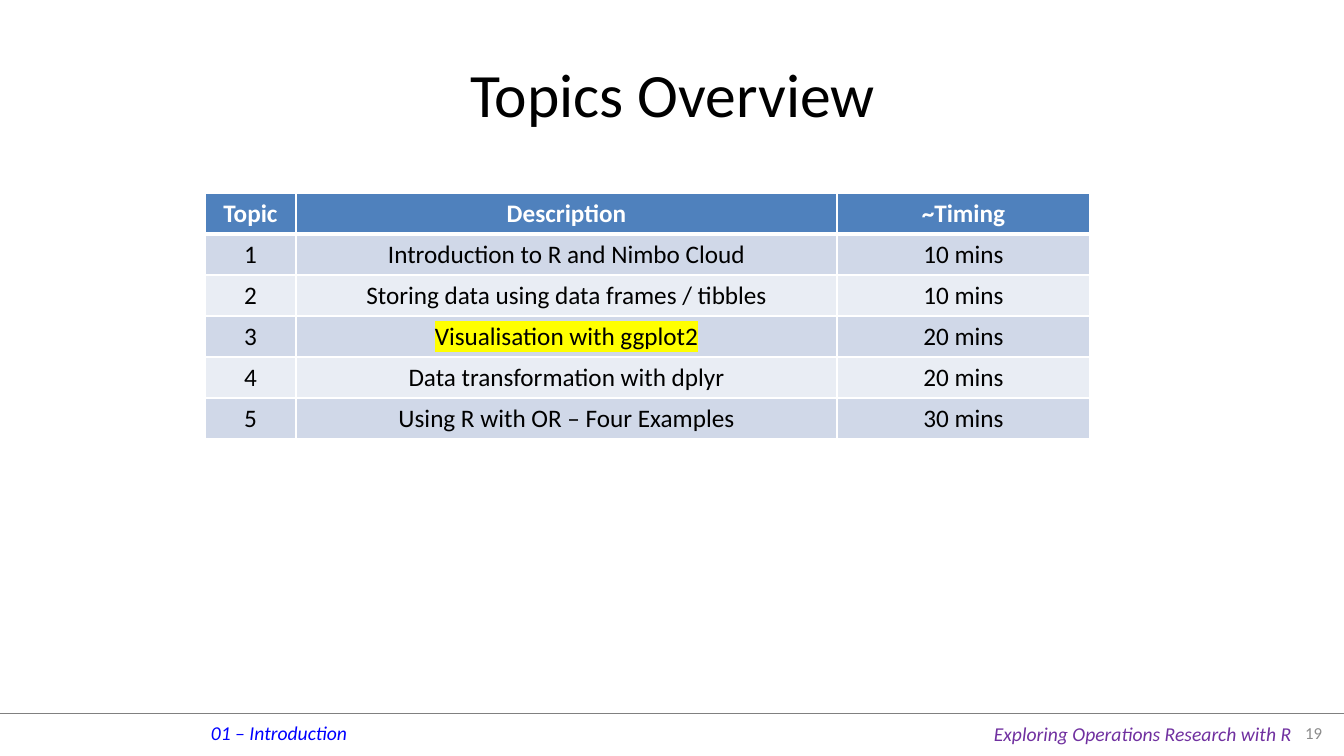
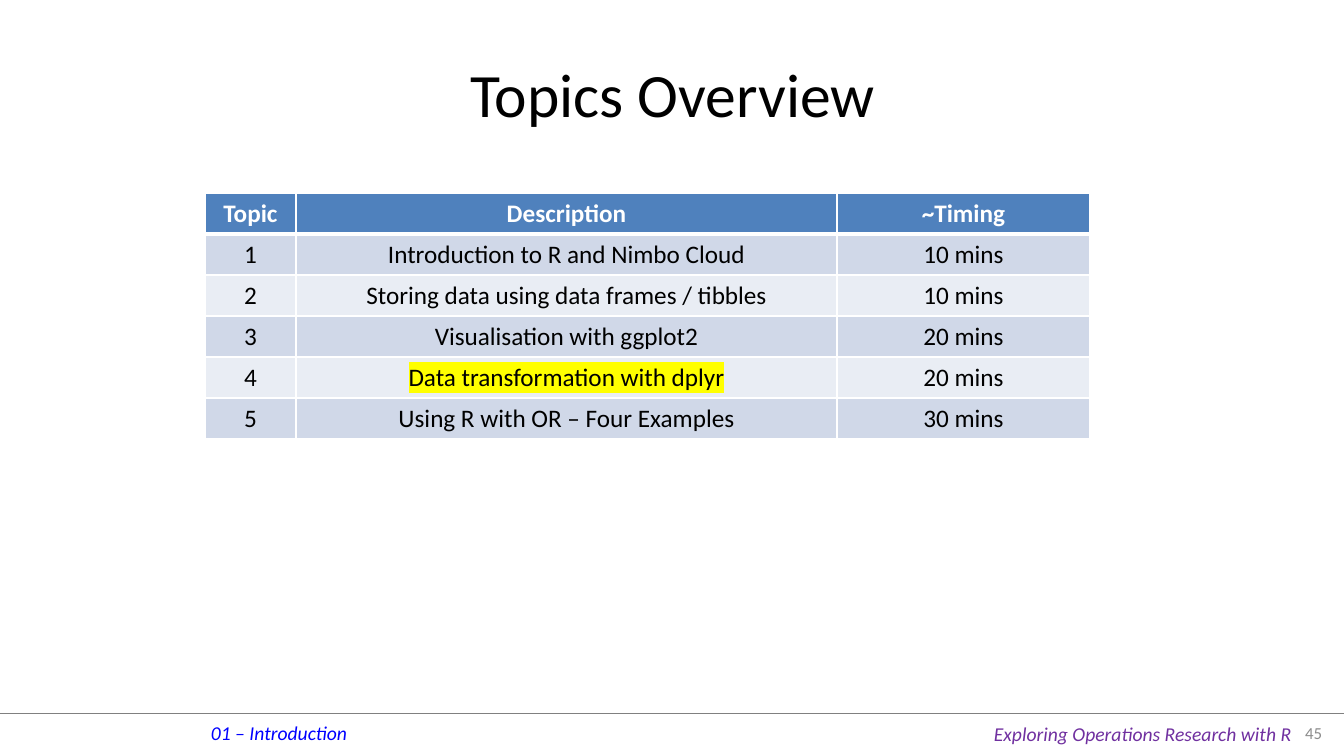
from lxml import etree
from pptx import Presentation
from pptx.dml.color import RGBColor
from pptx.enum.shapes import MSO_CONNECTOR
from pptx.enum.text import MSO_ANCHOR, PP_ALIGN
from pptx.oxml.ns import qn
from pptx.util import Pt

TITLE = "Topics Overview"
PART = "01 – Introduction"
COURSE = "Exploring Operations Research with R"
HEAD = ("Topic", "Description", "~Timing")
TOPICS = [
    ("Introduction to R and Nimbo Cloud", "10 mins"),
    ("Storing data using data frames / tibbles", "10 mins"),
    ("Visualisation with ggplot2", "20 mins"),
    ("Data transformation with dplyr", "20 mins"),
    ("Using R with OR – Four Examples", "30 mins"),
]
# Page number and the topic marked on it
SLIDES = [("19", 3), ("45", 4)]

FONT = "Calibri"
BLACK = RGBColor(0, 0, 0)
WHITE = RGBColor(255, 255, 255)
GRAY = RGBColor(0x80, 0x80, 0x80)
PALE = RGBColor(0x8C, 0x8C, 0x8C)
BLUE = RGBColor(0, 0, 255)
PURPLE = RGBColor(0x70, 0x30, 0xA0)
STEEL = RGBColor(0x4F, 0x81, 0xBD)
YELLOW = RGBColor(255, 255, 0)
BANDS = (RGBColor(0xE9, 0xED, 0xF4), RGBColor(0xD0, 0xD8, 0xE8))

LEFT, CENTER, RIGHT = PP_ALIGN.LEFT, PP_ALIGN.CENTER, PP_ALIGN.RIGHT
TOP, MIDDLE = MSO_ANCHOR.TOP, MSO_ANCHOR.MIDDLE
STRAIGHT = MSO_CONNECTOR.STRAIGHT

WIDTH, HEIGHT = 1344, 756
RULE = 713
GRID = (205, 193)
COLS = (91, 541, 253)
ROW = 41


def px(*sizes):
    return [round(n * 914400 / 100.8) for n in sizes]


def write(para, text, size, color, align, bold=False, italic=False):
    para.alignment = align
    run = para.add_run()
    run.text = text
    font = run.font
    font.name, font.size = FONT, Pt(size)
    font.bold, font.italic = bold, italic
    font.color.rgb = color
    return run


def add_text(slide, box, text, size, color, align=LEFT, anchor=TOP,
             wrap=True, italic=False):
    frame = slide.shapes.add_textbox(*px(*box)).text_frame
    frame.word_wrap = wrap
    frame.vertical_anchor = anchor
    write(frame.paragraphs[0], text, size, color, align, italic=italic)


def add_color(parent, color):
    fill = etree.SubElement(parent, qn("a:solidFill"))
    etree.SubElement(fill, qn("a:srgbClr"), val=str(color))


def mark(run):
    """Highlight a run; its colour must be set before."""
    light = etree.Element(qn("a:highlight"))
    etree.SubElement(light, qn("a:srgbClr"), val=str(YELLOW))
    run.font.fill  # the colour fill comes right before the highlight
    run._r.rPr.find(qn("a:solidFill")).addnext(light)


def edge(cell, top, bottom):
    """Give a cell white borders; they must come before its fill."""
    props = cell._tc.get_or_add_tcPr()
    sides = (("L", 1), ("R", 1), ("T", top), ("B", bottom))
    for side, width in sides:
        line = etree.SubElement(props, qn("a:ln" + side), w=str(Pt(width)))
        add_color(line, WHITE)


def add_frame(slide, page):
    """Draw what every slide shares: title, rule and footer."""
    rule = slide.shapes.add_connector(STRAIGHT, *px(0, RULE, WIDTH, RULE))
    rule.line.color.rgb = GRAY
    rule.line.width = Pt(0.25)
    etree.SubElement(rule._element.spPr, qn("a:effectLst"))
    add_text(slide, (201, 716, 158, 34), PART, 14, BLUE,
             wrap=False, italic=True)
    add_text(slide, (984, 717, 321, 34), COURSE, 14, PURPLE,
             wrap=False, italic=True)
    add_text(slide, (68, 30, 1210, 126), TITLE, 44, BLACK, CENTER, MIDDLE)
    add_text(slide, (1277, RULE, 55, 39), page, 12, PALE, RIGHT, MIDDLE)


def add_topics(slide, now):
    rows = [HEAD] + [(str(i), *row) for i, row in enumerate(TOPICS, 1)]
    size = (sum(COLS), ROW * len(rows))
    table = slide.shapes.add_table(
        len(rows), len(COLS), *px(*GRID, *size)).table
    for col, width in zip(table.columns, px(*COLS)):
        col.width = width
    for r, row in enumerate(rows):
        table.rows[r].height = px(ROW)[0]
        head = r == 0
        for c, text in enumerate(row):
            cell = table.cell(r, c)
            edge(cell, 3 if r == 1 else 1, 3 if head else 1)
            cell.fill.solid()
            cell.fill.fore_color.rgb = STEEL if head else BANDS[r % 2]
            run = write(cell.text_frame.paragraphs[0], text, 18,
                        WHITE if head else BLACK, CENTER, bold=head)
            if r == now and c == 1:
                mark(run)


def main():
    deck = Presentation()
    deck.slide_width, deck.slide_height = px(WIDTH, HEIGHT)
    for page, now in SLIDES:
        slide = deck.slides.add_slide(deck.slide_layouts[6])
        add_frame(slide, page)
        add_topics(slide, now)
    deck.save("out.pptx")


if __name__ == "__main__":
    main()
